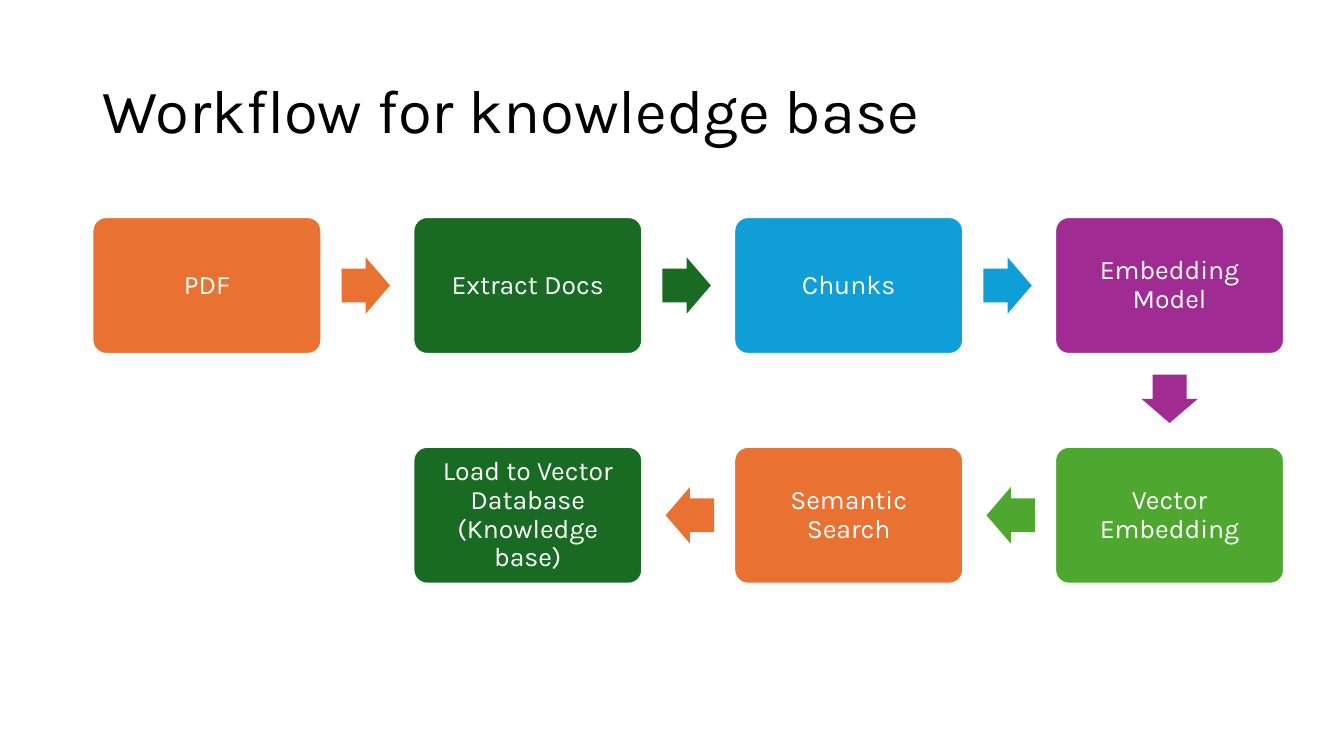
from dataclasses import dataclass
from itertools import pairwise
from math import atan2, cos, degrees, sin

from pptx import Presentation
from pptx.dml.color import RGBColor
from pptx.enum.shapes import MSO_SHAPE
from pptx.enum.text import MSO_ANCHOR, PP_ALIGN
from pptx.util import Cm, Pt


@dataclass(frozen=True)
class Theme:
    font: str = "Karla"
    title_size: int = 44
    step_size: int = 19
    black: str = "000000"
    white: str = "FFFFFF"
    orange: str = "E97132"
    forest: str = "196B24"
    blue: str = "0F9ED5"
    purple: str = "A02B93"
    green: str = "4EA72E"


@dataclass(frozen=True)
class Box:
    left: float
    top: float
    width: float
    height: float

    @property
    def lengths(self):
        return [Cm(side) for side in (self.left, self.top, self.width, self.height)]

    @property
    def center(self):
        return self.left + self.width / 2, self.top + self.height / 2


THEME = Theme()
CARD_WIDTH, CARD_HEIGHT = 5.77, 3.45
ARROW_WIDTH, ARROW_HEIGHT = 1.22, 1.42
ARROW_SETBACK = 0.04
COLUMNS, ROWS = 4, 2

# Label, fill, column and row, in the order of the flow
STEPS = [
    ("PDF", THEME.orange, 0, 0),
    ("Extract Docs", THEME.forest, 1, 0),
    ("Chunks", THEME.blue, 2, 0),
    ("Embedding Model", THEME.purple, 3, 0),
    ("Vector Embedding", THEME.green, 3, 1),
    ("Semantic Search", THEME.orange, 2, 1),
    ("Load to Vector Database (Knowledge base)", THEME.forest, 1, 1),
]


def write_text(shape, text, *, size, color, align=PP_ALIGN.LEFT, inset=None):
    frame = shape.text_frame
    frame.word_wrap = True
    frame.vertical_anchor = MSO_ANCHOR.MIDDLE
    if inset is not None:
        frame.margin_left = frame.margin_right = Cm(inset)
        frame.margin_top = frame.margin_bottom = Cm(inset)
    para = frame.paragraphs[0]
    para.alignment = align
    para.line_spacing = 0.9
    span = para.add_run()
    span.text = text
    span.font.name = THEME.font
    span.font.size = Pt(size)
    span.font.color.rgb = RGBColor.from_string(color)


def add_filled(page, kind, box, color, adjustments):
    shape = page.shapes.add_shape(kind, *box.lengths)
    shape.shadow.inherit = False
    shape.fill.solid()
    shape.fill.fore_color.rgb = RGBColor.from_string(color)
    shape.line.fill.background()
    for index, value in enumerate(adjustments):
        shape.adjustments[index] = value
    return shape


def add_title(page, box, text):
    title = page.shapes.add_textbox(*box.lengths)
    write_text(title, text, size=THEME.title_size, color=THEME.black)


def add_card(page, box, label, color):
    card = add_filled(page, MSO_SHAPE.ROUNDED_RECTANGLE, box, color, [0.1])
    card.line.color.rgb = RGBColor.from_string(THEME.white)
    card.line.width = Pt(1.5)
    write_text(card, label, size=THEME.step_size, color=THEME.white,
               align=PP_ALIGN.CENTER, inset=0.2)


def add_arrow(page, start, end, color):
    """Place a block arrow midway between two cards, pointing from start to end."""
    (x1, y1), (x2, y2) = start.center, end.center
    angle = atan2(y2 - y1, x2 - x1)
    x = (x1 + x2) / 2 - ARROW_SETBACK * cos(angle)
    y = (y1 + y2) / 2 - ARROW_SETBACK * sin(angle)
    box = Box(x - ARROW_WIDTH / 2, y - ARROW_HEIGHT / 2, ARROW_WIDTH, ARROW_HEIGHT)
    arrow = add_filled(page, MSO_SHAPE.RIGHT_ARROW, box, color, [0.6, 0.5])
    arrow.rotation = degrees(angle)


def add_workflow(page, box, steps):
    column_pitch = (box.width - CARD_WIDTH) / (COLUMNS - 1)
    row_pitch = (box.height - CARD_HEIGHT) / (ROWS - 1)
    cards = [
        Box(box.left + column * column_pitch, box.top + row * row_pitch,
            CARD_WIDTH, CARD_HEIGHT)
        for _, _, column, row in steps
    ]
    for card, (label, color, _, _) in zip(cards, steps):
        add_card(page, card, label, color)
    for (start, end), (_, color, _, _) in zip(pairwise(cards), steps):
        add_arrow(page, start, end, color)


def main():
    deck = Presentation()
    deck.slide_width, deck.slide_height = Cm(33.87), Cm(19.05)
    page = deck.slides.add_slide(deck.slide_layouts[6])
    add_title(page, Box(2.33, 1.01, 29.21, 3.68), "Workflow for knowledge base")
    add_workflow(page, Box(2.33, 5.47, 30.03, 9.24), STEPS)
    deck.save("out.pptx")


if __name__ == "__main__":
    main()
